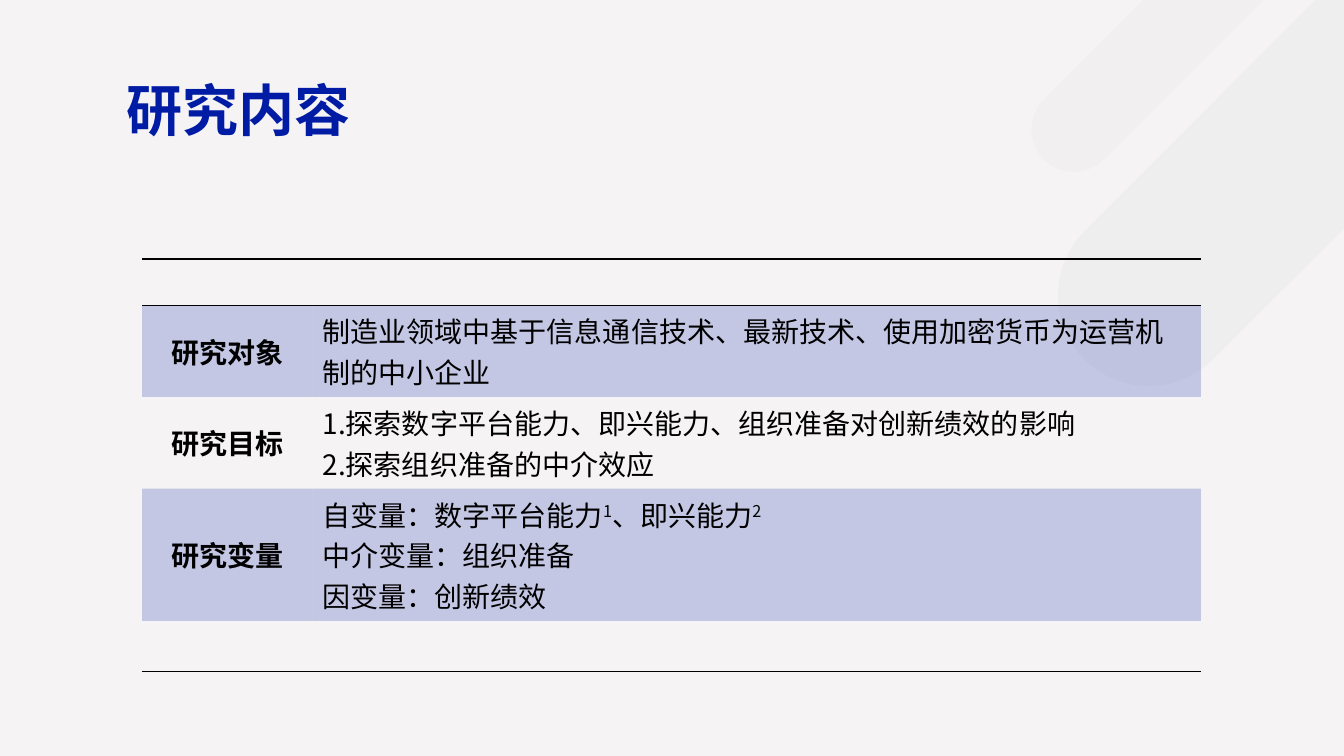
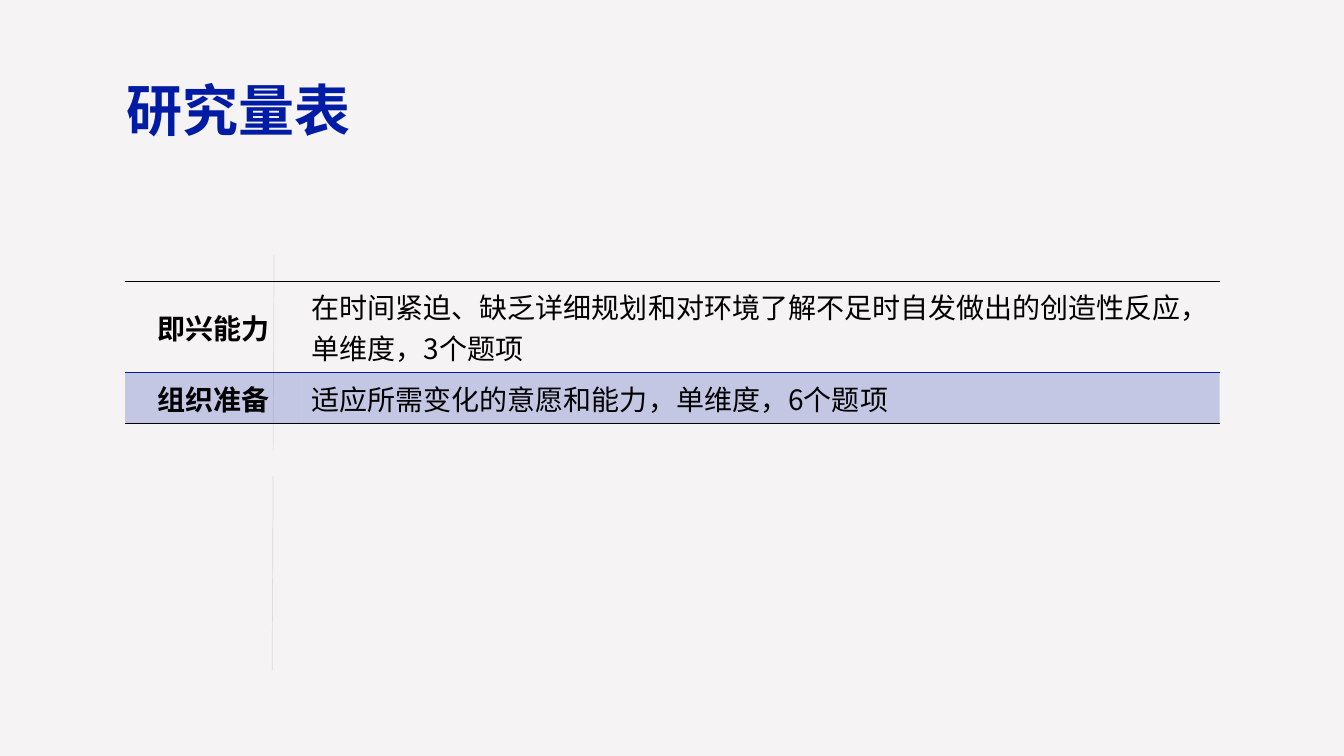
from lxml.etree import SubElement
from pptx import Presentation
from pptx.dml.color import RGBColor
from pptx.enum.shapes import MSO_CONNECTOR
from pptx.enum.text import MSO_ANCHOR, PP_ALIGN
from pptx.oxml import parse_xml
from pptx.oxml.ns import nsdecls, qn
from pptx.util import Pt
from math import cos, radians, sin

FONT = "Noto Sans CJK SC"
PAPER = RGBColor(0xF5, 0xF3, 0xF4)
BLUE = RGBColor(0x00, 0x1B, 0xA4)
BLACK = RGBColor(0, 0, 0)
GREY = RGBColor(0x80, 0x80, 0x80)
PALE_GREY = RGBColor(0xD3, 0xD3, 0xD3)
PALER_GREY = RGBColor(0xE3, 0xE3, 0xE3)
NO_STYLE = "{2D5ABB26-0587-4C30-8999-92F81FD0307C}"

PILLS = [
    ((820.5, 211), 64.8, [(939.6, 0), (960, 0), (960, 163.4)], PALE_GREY, 15),
    ((767, 92.5), 30.2, [(816.5, 0), (902.2, 0)], PALER_GREY, 20),
]
GUIDES = [((195.8, 182.2), (195.1, 321.8)), ((195.1, 339.8), (194.4, 478.8))]

SLIDES = [
    {
        "title": "研究内容",
        "pills": PILLS,
        "guides": [],
        "at": (101.5, 185),
        "columns": (121.7, 634.6),
        "heights": (33, 65.5, 65.5, 94.5, 36.5),
        "shaded": (1, 3),
        "rules": {0: BLACK, 1: BLACK, 5: BLACK},
        "rows": [
            ("", [[""]]),
            ("研究对象", [["制造业领域中基于信息通信技术、最新技术、使用加密货币为运营机制的中小企业"]]),
            ("研究目标", [["1.探索数字平台能力、即兴能力、组织准备对创新绩效的影响"],
                      ["2.探索组织准备的中介效应"]]),
            ("研究变量", [["自变量：数字平台能力", "1", "、即兴能力", "2"],
                      ["中介变量：组织准备"],
                      ["因变量：创新绩效"]]),
            ("", [[""]]),
        ],
    },
    {
        "title": "研究量表",
        "pills": [],
        "guides": GUIDES,
        "at": (89.3, 200.8),
        "columns": (126, 655.9),
        "heights": (65.5, 36.5),
        "shaded": (1,),
        "rules": {0: BLACK, 1: BLUE, 2: BLACK},
        "rows": [
            ("即兴能力", [["在时间紧迫、缺乏详细规划和对环境了解不足时自发做出的创造性反应，单维度，3个题项"]]),
            ("组织准备", [["适应所需变化的意愿和能力，单维度，6个题项"]]),
        ],
    },
]


def set_font(para, size, color, bold):
    font = para.font
    font.name, font.size, font.bold = FONT, Pt(size), bold
    font.color.rgb = color
    SubElement(font._rPr, qn("a:ea")).set("typeface", FONT)


def set_opacity(element, percent):
    for color in element.iter(qn("a:srgbClr")):
        SubElement(color, qn("a:alpha")).set("val", str(percent * 1000))


def add_title(page, text):
    box = page.shapes.add_textbox(Pt(83.5), Pt(28.8), Pt(850), Pt(104.4))
    frame = box.text_frame
    frame.word_wrap = True
    frame.vertical_anchor = MSO_ANCHOR.MIDDLE
    para = frame.paragraphs[0]
    para.text = text
    para.line_spacing = 0.9
    set_font(para, 40, BLUE, True)


def add_pill(page, center, radius, corners, color, opacity):
    x, y = center
    arc = [(x + radius * cos(radians(angle)), y + radius * sin(radians(angle)))
           for angle in range(45, 226, 5)]
    points = [(Pt(left), Pt(top)) for left, top in corners + arc]
    builder = page.shapes.build_freeform(*points[0])
    builder.add_line_segments(points[1:], close=True)
    pill = builder.convert_to_shape()
    pill.shadow.inherit = False
    pill.fill.solid()
    pill.fill.fore_color.rgb = color
    pill.line.fill.background()
    set_opacity(pill._element.spPr, opacity)


def add_guide(page, start, end):
    guide = page.shapes.add_connector(
        MSO_CONNECTOR.STRAIGHT, *(Pt(value) for value in start + end))
    guide.line.width = Pt(0.5)
    guide.line.color.rgb = GREY
    properties = guide._element.spPr
    set_opacity(properties, 20)
    SubElement(properties, qn("a:effectLst"))


def fill_cell(cell, lines, heading, shaded):
    cell.vertical_anchor = MSO_ANCHOR.MIDDLE
    frame = cell.text_frame
    for number, parts in enumerate(lines):
        para = frame.add_paragraph() if number else frame.paragraphs[0]
        for position, text in enumerate(filter(None, parts)):
            span = para.add_run()
            span.text = text
            if position % 2:
                span._r.get_or_add_rPr().set("baseline", "30000")
        if heading:
            para.alignment = PP_ALIGN.CENTER
        set_font(para, 20, BLACK, heading)
    if shaded:
        cell.fill.solid()
        cell.fill.fore_color.rgb = BLUE
        set_opacity(cell._tc.tcPr, 20)
    else:
        cell.fill.background()


def add_rules(cell, edges):
    for position, (tag, color) in enumerate(edges):
        rule = parse_xml(
            f'<a:{tag} {nsdecls("a")} w="{Pt(1)}"><a:solidFill>'
            f'<a:srgbClr val="{color}"/></a:solidFill></a:{tag}>')
        cell._tc.get_or_add_tcPr().insert(position, rule)


def add_grid(page, content):
    rows, rules = content["rows"], content["rules"]
    widths, heights = content["columns"], content["heights"]
    left, top = content["at"]
    table = page.shapes.add_table(
        len(rows), len(widths), Pt(left), Pt(top),
        Pt(sum(widths)), Pt(sum(heights))).table
    table.first_row = table.horz_banding = False
    table._tbl.tblPr.find(qn("a:tableStyleId")).text = NO_STYLE
    for column, width in zip(table.columns, widths):
        column.width = Pt(width)
    for index, (heading, lines) in enumerate(rows):
        table.rows[index].height = Pt(heights[index])
        edges = [("lnT", rules[0])] if index == 0 else []
        if index + 1 in rules:
            edges.append(("lnB", rules[index + 1]))
        for column, text in enumerate(([[heading]], lines)):
            cell = table.cell(index, column)
            fill_cell(cell, text, column == 0, index in content["shaded"])
            add_rules(cell, edges)


def main():
    deck = Presentation()
    deck.slide_width, deck.slide_height = Pt(960), Pt(540)
    backdrop = deck.slide_master.background.fill
    backdrop.solid()
    backdrop.fore_color.rgb = PAPER
    for content in SLIDES:
        page = deck.slides.add_slide(deck.slide_layouts[6])
        for pill in content["pills"]:
            add_pill(page, *pill)
        for guide in content["guides"]:
            add_guide(page, *guide)
        add_title(page, content["title"])
        add_grid(page, content)
    deck.save("out.pptx")


if __name__ == "__main__":
    main()
